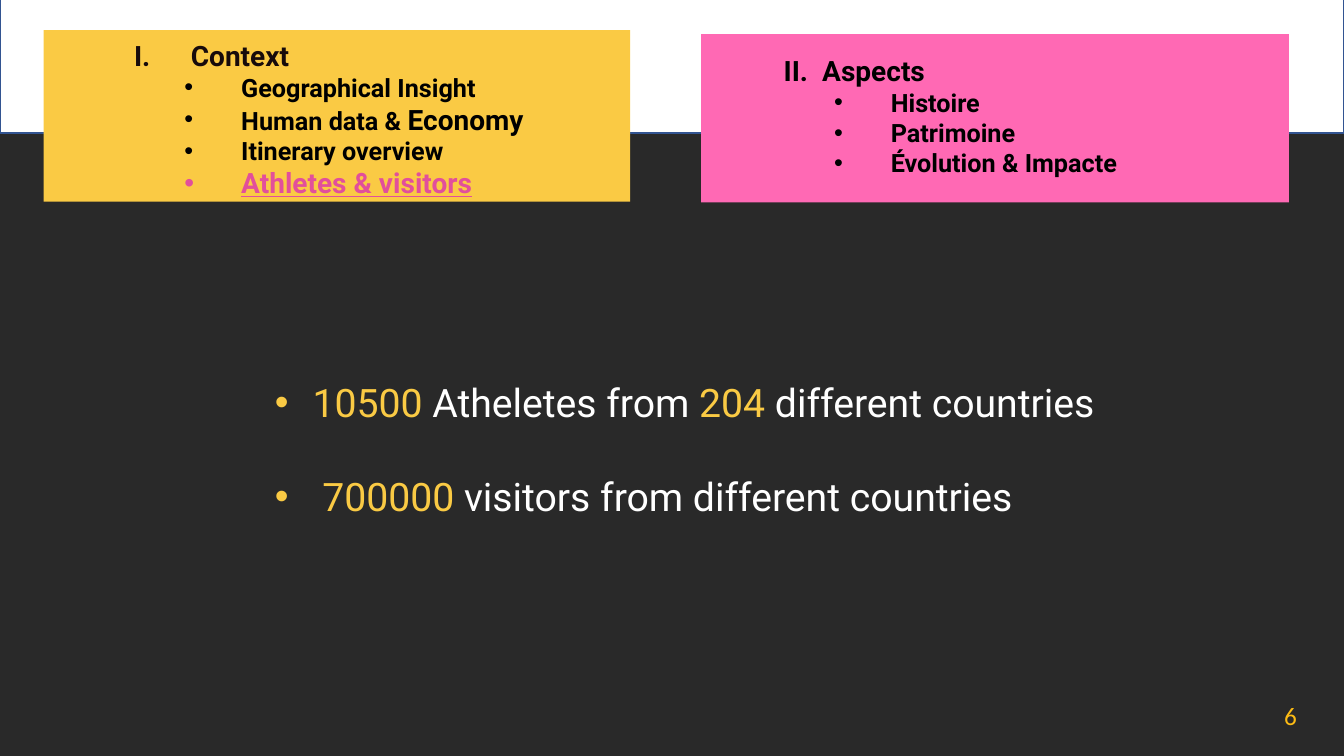
from dataclasses import dataclass

from lxml import etree
from pptx import Presentation
from pptx import util as u
from pptx.dml.color import RGBColor
from pptx.enum import shapes, text
from pptx.oxml.ns import qn


@dataclass(frozen=True)
class Theme:
    dark: str = "292929"
    white: str = "FFFFFF"
    black: str = "000000"
    brown: str = "170B0B"
    gold: str = "FACA44"
    amber: str = "FCBB14"
    pink: str = "FF69B4"
    rose: str = "E24F9B"
    edge: str = "325491"
    face: str = "Roboto"
    plain: str = "Calibri"
    head: int = 20
    item: int = 18
    fact: int = 28


T = Theme()


def tint(code):
    return RGBColor.from_string(code)


def panel(slide, box, fill, edge=None):
    rect = slide.shapes.add_shape(
        shapes.MSO_SHAPE.RECTANGLE, *[u.Cm(n) for n in box])
    rect.shadow.inherit = False
    rect.fill.solid()
    rect.fill.fore_color.rgb = tint(fill)
    if edge:
        rect.line.color.rgb = tint(edge)
        rect.line.width = u.Pt(1)
    else:
        rect.line.fill.background()


def frame(slide, box, wrap=True):
    area = slide.shapes.add_textbox(*[u.Cm(n) for n in box]).text_frame
    area.word_wrap = wrap
    return area


def hang(para, left, depth, tag, **attrs):
    """Give a paragraph a hanging indent and a bullet or number."""
    props = para._p.get_or_add_pPr()
    props.set("marL", str(u.Cm(left)))
    props.set("indent", str(-u.Cm(depth)))
    if tag == "buChar":
        etree.SubElement(props, qn("a:buFont"), typeface="Arial")
    if tag == "tab":
        props = etree.SubElement(props, qn("a:tabLst"))
        attrs = {"pos": str(u.Cm(left)), "algn": "l"}
    etree.SubElement(props, qn("a:" + tag), **attrs)


def style(font, size, color, face=T.face, bold=False):
    font.name, font.size, font.bold = face, u.Pt(size), bold
    font.color.rgb = tint(color)


def outline(slide, box, title, mark, color, items):
    """Write a section heading with its bulleted topics."""
    area = frame(slide, box)
    para = area.paragraphs[0]
    hang(para, *mark[:-1], **mark[-1])
    para.add_run().text = title
    style(para.font, T.head, color, bold=True)
    for item in items:
        para = area.add_paragraph()
        para.level = 1
        hang(para, 2.7, 1.43, "buChar", char="•")
        style(para.font, T.item, T.black, bold=True)
        for words, size, shade, under in item:
            run = para.add_run()
            run.text = words
            style(run.font, size, shade, bold=True)
            run.font.underline = under


def topic(words):
    return [(words, T.item, T.black, False)]


def facts(slide, box, rows):
    """Write bulleted facts in alternating gold and white."""
    area = frame(slide, box)
    for i, row in enumerate(rows):
        para = area.add_paragraph() if i else area.paragraphs[0]
        if i:
            para.space_before = u.Pt(34)
        hang(para, 0.95, 0.95, "buChar", char="•")
        style(para.font, T.fact, T.gold)
        for j, words in enumerate(row):
            run = para.add_run()
            run.text = words
            style(run.font, T.fact, T.white if j % 2 else T.gold)


def number(slide, box, words):
    para = frame(slide, box, wrap=False).paragraphs[0]
    para.add_run().text = words
    para.alignment = text.PP_ALIGN.LEFT
    style(para.font, T.item, T.amber, face=T.plain)


def context(slide, x, y):
    panel(slide, (x, y, 14.78, 4.32), T.gold)
    outline(
        slide, (x + 2.03, y + 0.08, 13.03, 4.5), "Context",
        (1.43, 1.43, "buAutoNum", {"type": "romanUcPeriod"}), T.brown,
        [topic("Geographical Insight"),
         topic("Human data & ") + [("Economy", T.head, T.black, False)],
         topic("Itinerary overview"),
         [("Athletes & visitors", T.head, T.rose, True)]])


def aspects(slide, x, y):
    panel(slide, (x, y, 14.81, 4.24), T.pink)
    outline(
        slide, (x + 1.83, y + 0.36, 13.44, 3.43), "II.\tAspects",
        (0.97, 0.97, "tab", {}), T.black,
        [topic(name) for name in
         ("Histoire", "Patrimoine", "Évolution & Impacte")])


def main():
    deck = Presentation()
    deck.slide_width, deck.slide_height = u.Cm(33.87), u.Cm(19.05)
    slide = deck.slides.add_slide(deck.slide_layouts[6])
    slide.background.fill.solid()
    slide.background.fill.fore_color.rgb = tint(T.dark)
    panel(slide, (0, -0.08, 33.87, 3.43), T.white, T.edge)
    context(slide, 1.1, 0.76)
    aspects(slide, 17.67, 0.86)
    number(slide, (32.11, 17.53, 0.84, 1.02), "6")
    facts(slide, (6.68, 9.4, 23.06, 3.8), [
        ("10500 ", "Atheletes from ", "204 ", "different countries"),
        (" 700000 ", "visitors from different countries")])
    deck.save("out.pptx")


if __name__ == "__main__":
    main()
